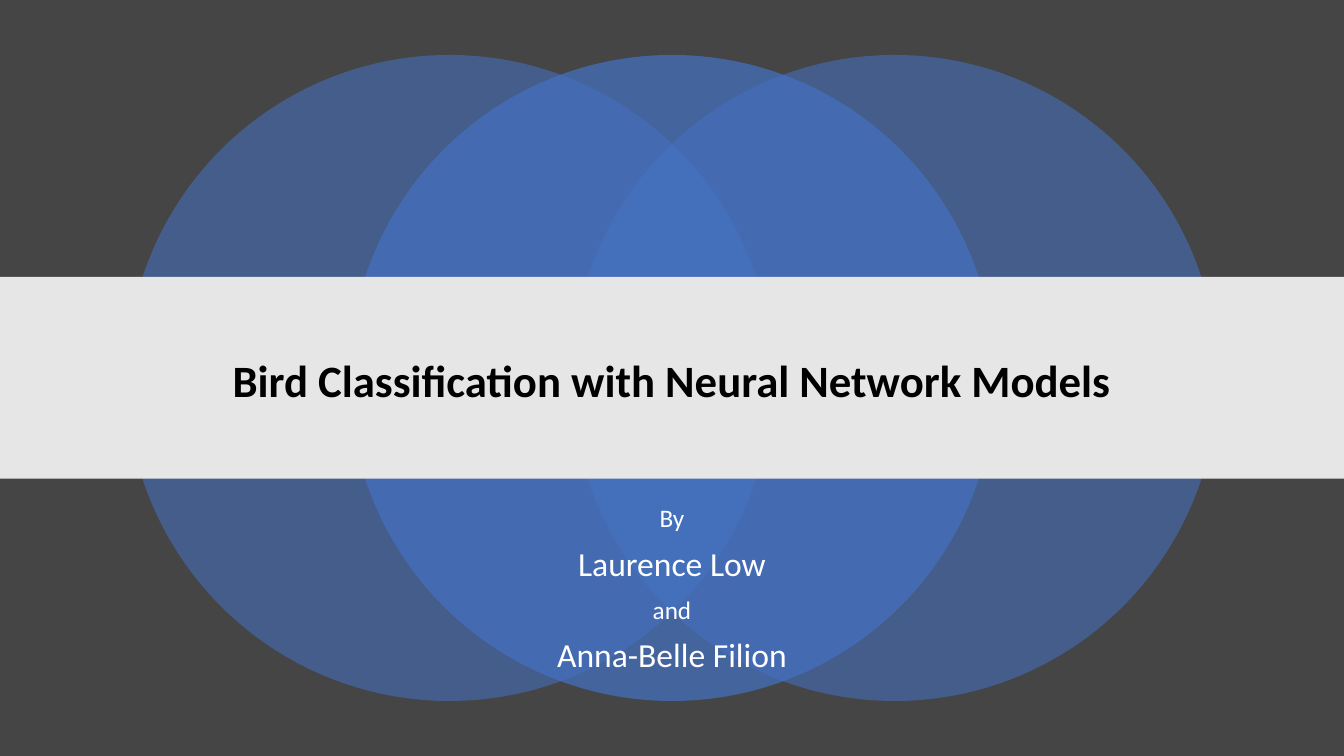
from dataclasses import dataclass

import pptx
import pptx.dml.color
import pptx.enum.shapes
import pptx.enum.text
import pptx.oxml
import pptx.oxml.ns
import pptx.util
from pptx.util import Cm

SLIDE_WIDTH, SLIDE_HEIGHT = 33.87, 19.05
CIRCLE_SIZE = 16.28
CIRCLE_STEP = 5.61
TEXT_WIDTH = 25.4


@dataclass(frozen=True)
class Theme:
    background: str = "454545"
    circle: str = "4472C4"
    band: str = "E7E6E6"
    title: str = "000000"
    byline: str = "FFFFFF"
    font: str = "Calibri"
    title_size: int = 32
    name_size: int = 24
    small_size: int = 18


THEME = Theme()


def rgb(color):
    return pptx.dml.color.RGBColor.from_string(color)


def add_filled_shape(slide, kind, left, top, width, height, color, opacity=100):
    shape = slide.shapes.add_shape(kind, Cm(left), Cm(top), Cm(width), Cm(height))
    shape.shadow.inherit = False
    shape.line.fill.background()
    shape.fill.solid()
    shape.fill.fore_color.rgb = rgb(color)
    if opacity < 100:
        color_element = shape.fill._xPr.find(".//" + pptx.oxml.ns.qn("a:srgbClr"))
        alpha = pptx.oxml.parse_xml(
            f'<a:alpha {pptx.oxml.ns.nsdecls("a")} val="{opacity * 1000}"/>'
        )
        color_element.append(alpha)
    return shape


def add_circle(slide, step, opacity):
    """Draw a circle the given number of steps from the slide's centre."""
    left = (SLIDE_WIDTH - CIRCLE_SIZE) / 2 + step * CIRCLE_STEP
    top = (SLIDE_HEIGHT - CIRCLE_SIZE) / 2
    oval = pptx.enum.shapes.MSO_SHAPE.OVAL
    add_filled_shape(
        slide, oval, left, top, CIRCLE_SIZE, CIRCLE_SIZE, THEME.circle, opacity
    )


def add_text(slide, lines, *, top, height, color, bold=False, space_before=0,
             anchor=pptx.enum.text.MSO_ANCHOR.TOP):
    """Add a centred text box from (text, size) lines."""
    left = (SLIDE_WIDTH - TEXT_WIDTH) / 2
    box = slide.shapes.add_textbox(Cm(left), Cm(top), Cm(TEXT_WIDTH), Cm(height))
    frame = box.text_frame
    frame.word_wrap = True
    frame.vertical_anchor = anchor
    for index, (text, size) in enumerate(lines):
        paragraph = frame.add_paragraph() if index else frame.paragraphs[0]
        paragraph.alignment = pptx.enum.text.PP_ALIGN.CENTER
        paragraph.line_spacing = 0.9
        paragraph.space_before = pptx.util.Pt(space_before if index else 0)
        run = paragraph.add_run()
        run.text = text
        run.font.name = THEME.font
        run.font.size = pptx.util.Pt(size)
        run.font.bold = bold
        run.font.color.rgb = rgb(color)


def main():
    presentation = pptx.Presentation()
    presentation.slide_width = Cm(SLIDE_WIDTH)
    presentation.slide_height = Cm(SLIDE_HEIGHT)
    slide = presentation.slides.add_slide(presentation.slide_layouts[6])
    slide.background.fill.solid()
    slide.background.fill.fore_color.rgb = rgb(THEME.background)

    for step, opacity in ((-1, 55), (1, 55), (0, 70)):
        add_circle(slide, step, opacity)

    rectangle = pptx.enum.shapes.MSO_SHAPE.RECTANGLE
    add_filled_shape(slide, rectangle, 0, 6.98, SLIDE_WIDTH, 5.08, THEME.band)

    add_text(
        slide,
        [("Bird Classification with Neural Network Models", THEME.title_size)],
        top=7.72, height=3.84, color=THEME.title, bold=True,
        anchor=pptx.enum.text.MSO_ANCHOR.MIDDLE,
    )
    add_text(
        slide,
        [
            ("By", THEME.small_size),
            ("Laurence Low", THEME.name_size),
            ("and", THEME.small_size),
            ("Anna-Belle Filion", THEME.name_size),
        ],
        top=12.63, height=5.48, color=THEME.byline, space_before=10,
    )
    presentation.save("out.pptx")


if __name__ == "__main__":
    main()
